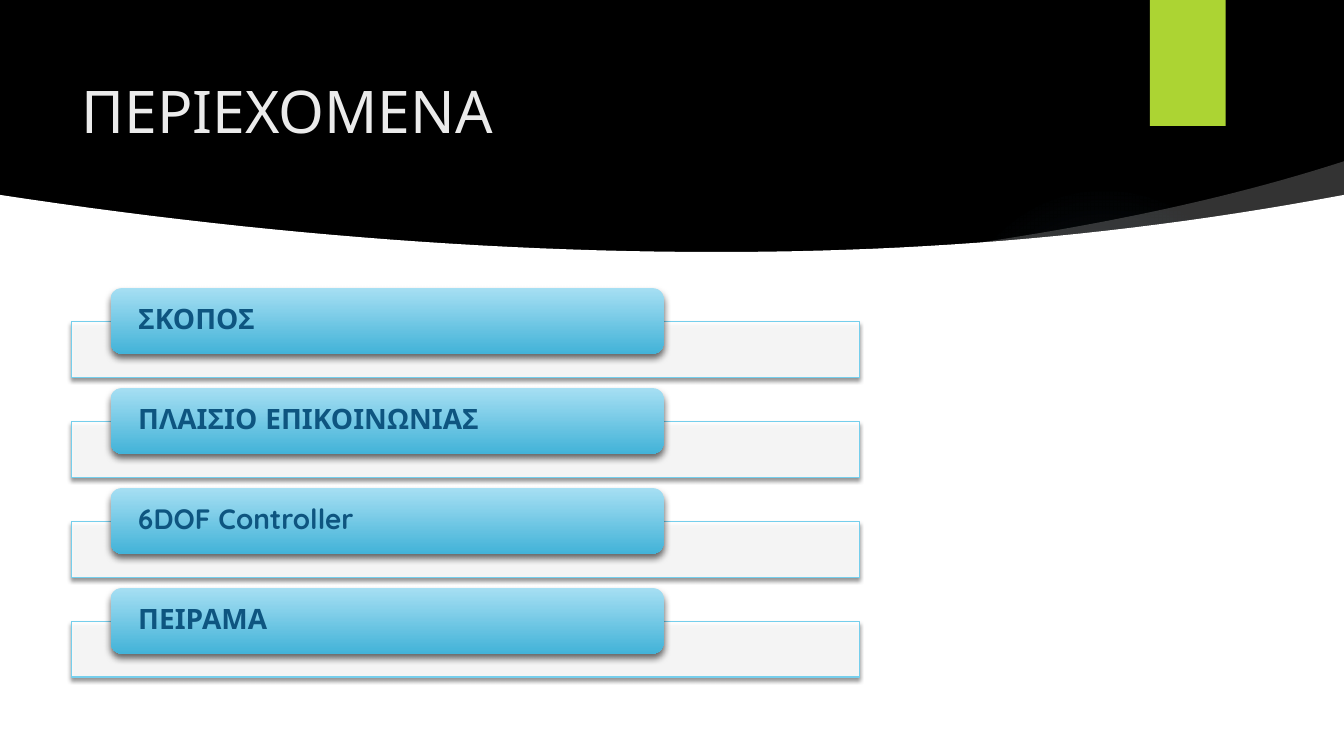
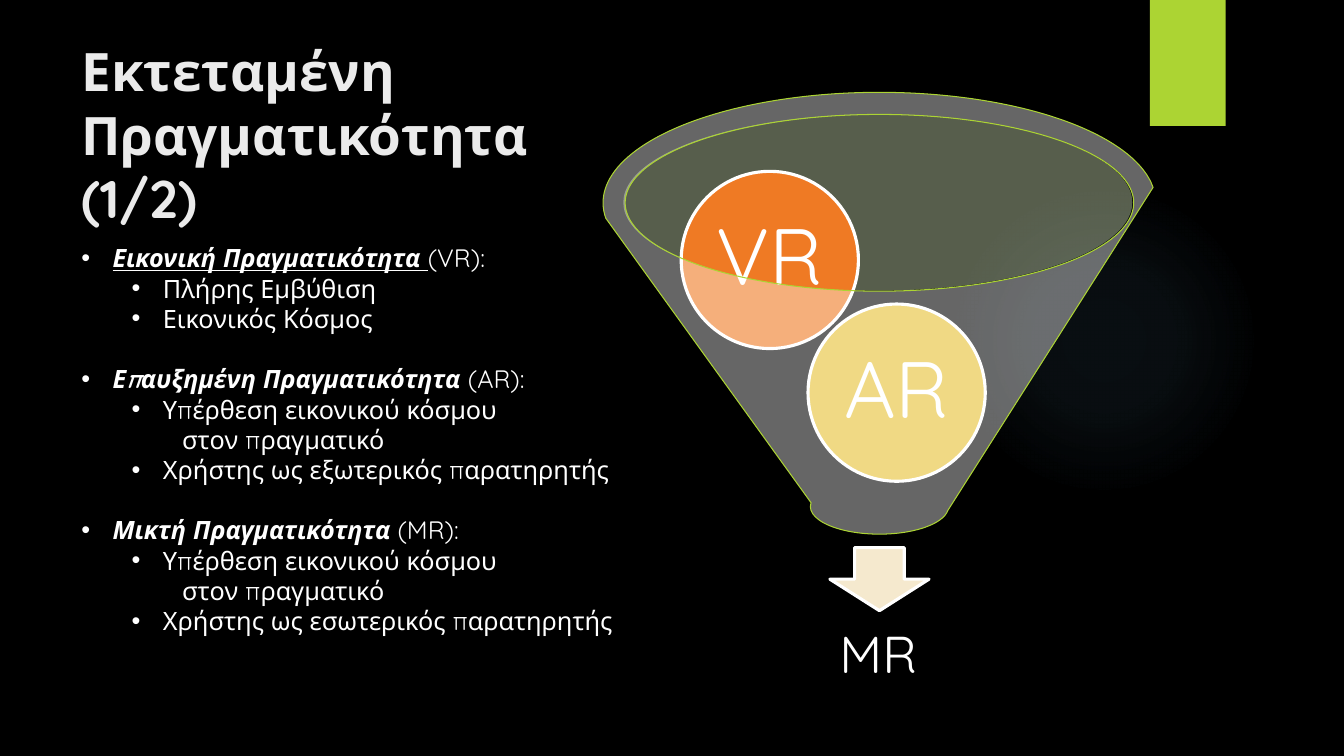
from dataclasses import dataclass
from typing import NamedTuple

from lxml import etree
from pptx import Presentation
from pptx.dml.color import RGBColor
from pptx.enum.shapes import MSO_SHAPE
from pptx.enum.text import MSO_ANCHOR, MSO_AUTO_SIZE, PP_ALIGN
from pptx.oxml import parse_xml
from pptx.oxml.ns import qn
from pptx.util import Emu, Inches, Pt

RECTANGLE = MSO_SHAPE.RECTANGLE
ROUNDED = MSO_SHAPE.ROUNDED_RECTANGLE
ELLIPSE = MSO_SHAPE.OVAL
DOWN_ARROW = MSO_SHAPE.DOWN_ARROW
FUNNEL = MSO_SHAPE.FUNNEL
TOP, MIDDLE = MSO_ANCHOR.TOP, MSO_ANCHOR.MIDDLE
LEFT, CENTER = PP_ALIGN.LEFT, PP_ALIGN.CENTER
FIXED_SIZE = MSO_AUTO_SIZE.NONE

COLUMNS, ROWS, CELL = 160, 90, 76200
TITLE_ONLY = 5
DRAWING_NS = "http://schemas.openxmlformats.org/drawingml/2006/main"


@dataclass(frozen=True)
class Theme:
    font: str = "Quicksand"
    black: str = "000000"
    white: str = "FFFFFF"
    title: str = "EBEBEB"
    accent: str = "ACD433"
    glow: str = "7AC4F0"
    card_top: str = "A6DFF3"
    card_bottom: str = "43B3D8"
    card_text: str = "0E5580"
    tray_line: str = "75CEEC"
    mouth: str = "DBEBBF"
    arrow: str = "F5E9CE"
    virtual: str = "EF7A24"
    augmented: str = "E6C133"
    title_size: float = 42
    long_title_size: float = 37.8
    card_size: float = 20
    body_size: float = 18
    ball_size: float = 57
    result_size: float = 37
    thin: float = 0.75
    thick: float = 2.25


THEME = Theme()


class Box(NamedTuple):
    column: float
    row: float
    columns: float
    rows: float


class Stop(NamedTuple):
    position: int
    color: str
    alpha: int = 100


class Shadow(NamedTuple):
    alpha: int
    blur: float
    distance: float


class Span(NamedTuple):
    text: str
    strong: bool = False
    underline: bool = False


class Line(NamedTuple):
    spans: tuple[Span, ...]
    level: int = 0
    indent: float = 0.31
    bullet: bool = True
    gap: bool = False


class Ball(NamedTuple):
    label: str
    color: str
    column: float
    row: float


Point = tuple[float, float]
SOFT_SHADOW = Shadow(45, 3, 2)
CARD_SHADOW = Shadow(60, 5, 3)
TOPICS = ("ΣΚΟΠΟΣ", "ΠΛΑΙΣΙΟ ΕΠΙΚΟΙΝΩΝΙΑΣ", "6DOF Controller", "ΠΕΙΡΑΜΑ")
BALLS = (
    Ball("AR", THEME.augmented, 96.2, 36.2),
    Ball("VR", THEME.virtual, 81.1, 20.4),
)


def heading(name: str, rest: str, underline: bool = False, gap: bool = True) -> Line:
    return Line((Span(name, True, underline), Span(rest)), gap=gap)


def detail(text: str) -> Line:
    return Line((Span(text),), 1, 0.81)


def continuation(text: str) -> Line:
    return Line((Span(text),), 1, 1, bullet=False)


OVERLAY = (detail("Υπέρθεση εικονικού κόσμου"), continuation("στον πραγματικό"))
REALITIES = (
    heading("Εικονική Πραγματικότητα ", "(VR):", underline=True, gap=False),
    detail("Πλήρης Εμβύθιση"),
    detail("Εικονικός Κόσμος"),
    heading("Επαυξημένη Πραγματικότητα ", "(AR):"),
    *OVERLAY,
    detail("Χρήστης ως εξωτερικός παρατηρητής"),
    heading("Μικτή Πραγματικότητα", " (MR):"),
    *OVERLAY,
    detail("Χρήστης ως εσωτερικός παρατηρητής"),
)


def grid(cells: float) -> Emu:
    return Emu(round(cells * CELL))


def place(box: Box) -> tuple[Emu, ...]:
    return tuple(grid(cells) for cells in box)


def paint(shape, color: str, alpha: int = 100, line: str = "", width: float = 0) -> None:
    shape.shadow.inherit = False
    shape.fill.solid()
    shape.fill.fore_color.rgb = RGBColor.from_string(color)
    if alpha < 100:
        tint = shape._element.spPr.find(qn("a:solidFill"))[0]
        etree.SubElement(tint, qn("a:alpha"), val=str(alpha * 1000))
    if line:
        shape.line.color.rgb = RGBColor.from_string(line)
        shape.line.width = Pt(width)
    else:
        shape.line.fill.background()


def add_shape(page, kind, box: Box, color: str, alpha: int = 100,
              line: str = "", width: float = 0):
    shape = page.shapes.add_shape(kind, *place(box))
    paint(shape, color, alpha, line, width)
    return shape


def add_gradient(shape, stops: tuple[Stop, ...], direction: str) -> None:
    stop_xml = "".join(
        f'<a:gs pos="{stop.position * 1000}"><a:srgbClr val="{stop.color}">'
        f'<a:alpha val="{stop.alpha * 1000}"/></a:srgbClr></a:gs>'
        for stop in stops
    )
    gradient = parse_xml(
        f'<a:gradFill xmlns:a="{DRAWING_NS}" rotWithShape="1">'
        f"<a:gsLst>{stop_xml}</a:gsLst>{direction}</a:gradFill>"
    )
    properties = shape._element.spPr
    properties.replace(properties.find(qn("a:solidFill")), gradient)


def add_shadow(shape, shadow: Shadow) -> None:
    effects = shape._element.spPr.find(qn("a:effectLst"))
    effects.append(parse_xml(
        f'<a:outerShdw xmlns:a="{DRAWING_NS}" blurRad="{Pt(shadow.blur)}" '
        f'dist="{Pt(shadow.distance)}" dir="5400000" rotWithShape="0">'
        f'<a:srgbClr val="{THEME.black}"><a:alpha val="{shadow.alpha * 1000}"/>'
        "</a:srgbClr></a:outerShdw>"
    ))


def add_span(para, text: str, size: float, color: str, bold: bool = False):
    span = para.add_run()
    span.text = text
    span.font.name = THEME.font
    span.font.size = Pt(size)
    span.font.bold = bold
    span.font.color.rgb = RGBColor.from_string(color)
    return span


def add_label(shape, text: str, size: float, color: str, align=CENTER,
              bold: bool = False, side: float = 0.08, wrap: bool = False) -> None:
    frame = shape.text_frame
    frame.word_wrap = wrap
    frame.vertical_anchor = MIDDLE
    frame.margin_left = frame.margin_right = Inches(side)
    frame.margin_top = frame.margin_bottom = 0
    para = frame.paragraphs[0]
    para.alignment = align
    para.line_spacing = 0.9
    add_span(para, text, size, color, bold)


def curve(start: Point, pull: Point, push: Point, end: Point, steps: int = 24) -> list[Point]:
    points = []
    for step in range(steps + 1):
        after = step / steps
        before = 1 - after
        weights = (before ** 3, 3 * before ** 2 * after, 3 * before * after ** 2, after ** 3)
        points.append(tuple(
            sum(weight * value for weight, value in zip(weights, axis))
            for axis in zip(start, pull, push, end)
        ))
    return points


def add_outline(page, points: list[Point], alpha: int = 100) -> None:
    corners = [(grid(column), grid(row)) for column, row in points]
    builder = page.shapes.build_freeform(*corners[0])
    builder.add_line_segments(corners[1:], close=True)
    paint(builder.convert_to_shape(), THEME.white, alpha)


def add_page(deck, title: str, box: Box, size: float, bold: bool = False):
    page = deck.slides.add_slide(deck.slide_layouts[TITLE_ONLY])
    page.background.fill.solid()
    page.background.fill.fore_color.rgb = RGBColor.from_string(THEME.black)
    holder = page.shapes.title
    holder.left, holder.top, holder.width, holder.height = place(box)
    frame = holder.text_frame
    frame.word_wrap = True
    frame.auto_size = FIXED_SIZE
    frame.vertical_anchor = TOP
    para = frame.paragraphs[0]
    para.alignment = LEFT
    add_span(para, title, size, THEME.title, bold)
    glow = add_shape(page, ELLIPSE, Box(112.9, 22, 37, 37), THEME.glow)
    stops = tuple(Stop(at, THEME.glow, alpha) for at, alpha in ((0, 7), (36, 6), (69, 0)))
    add_gradient(glow, stops, '<a:path path="circle"><a:fillToRect l="50000" t="50000" '
                 'r="50000" b="50000"/></a:path>')
    tab = add_shape(page, RECTANGLE, Box(136.9, 0, 9, 15), THEME.accent)
    add_shadow(tab, SOFT_SHADOW)
    return page


def add_topic(page, index: int, topic: str) -> None:
    top = 34.3 + 11.9 * index
    tray = add_shape(page, RECTANGLE, Box(8.5, top + 4, 93.8, 6.6), THEME.white, 90,
                     THEME.tray_line, THEME.thin)
    add_shadow(tray, SOFT_SHADOW)
    card = add_shape(page, ROUNDED, Box(13.2, top, 65.8, 7.8), THEME.card_top)
    add_gradient(card, (Stop(0, THEME.card_top), Stop(100, THEME.card_bottom)),
                 '<a:lin ang="5400000" scaled="0"/>')
    add_shadow(card, CARD_SHADOW)
    add_label(card, topic, THEME.card_size, THEME.card_text, LEFT, True, 0.24, True)


def add_contents(deck) -> None:
    page = add_page(deck, "ΠΕΡΙΕΧΟΜΕΝΑ", Box(8.5, 8.3, 121.4, 13.3), THEME.title_size)
    add_outline(page, curve((114.5, 29.2), (129.6, 27), (145.2, 24), (COLUMNS, 19.2))
                + curve((COLUMNS, 25.4), (147, 27.6), (122.4, 30.2), (115, 30)), 20)
    add_outline(page, curve((0, 23.2), (28.8, 27.6), (57.6, 30), (85.2, 30))
                + curve((85.2, 30), (110.4, 30), (134.4, 28), (COLUMNS, 23.2))
                + [(COLUMNS, ROWS), (0, ROWS)])
    for index, topic in enumerate(TOPICS):
        add_topic(page, index, topic)


def add_line(para, line: Line) -> None:
    para.level = line.level
    if line.gap:
        para.space_before = Pt(THEME.body_size * 1.2)
    properties = para._p.get_or_add_pPr()
    properties.set("marL", str(Inches(line.indent)))
    properties.set("indent", str(Inches(-0.31 if line.bullet else 0)))
    if line.bullet:
        etree.SubElement(properties, qn("a:buFont"), typeface="Arial")
        etree.SubElement(properties, qn("a:buChar"), char="•")
    for part in line.spans:
        span = add_span(para, part.text, THEME.body_size, THEME.white, part.strong)
        span.font.italic = part.strong
        span.font.underline = part.underline


def add_extended_reality(deck) -> None:
    page = add_page(deck, "Εκτεταμένη Πραγματικότητα (1/2)", Box(8.5, 4, 62.9, 22),
                    THEME.long_title_size, True)
    add_shape(page, ELLIPSE, Box(74.2, 13.6, 60.6, 21), THEME.mouth, 40)
    add_shape(page, DOWN_ARROW, Box(98.8, 65.2, 11.8, 7.5), THEME.arrow, 100,
              THEME.white, THEME.thick)
    result = page.shapes.add_textbox(*place(Box(76.4, 71.2, 56.3, 14)))
    add_label(result, "MR", THEME.result_size, THEME.white, wrap=True)
    for ball in BALLS:
        shape = add_shape(page, ELLIPSE, Box(ball.column, ball.row, 21.1, 21.1),
                          ball.color, 100, THEME.white, THEME.thick)
        add_label(shape, ball.label, THEME.ball_size, THEME.white)
    add_shape(page, FUNNEL, Box(71.8, 11, 65.8, 52.6), THEME.white, 40,
              THEME.accent, THEME.thin)
    frame = page.shapes.add_textbox(*place(Box(8.5, 28.3, 69.1, 48.5))).text_frame
    frame.word_wrap = True
    for index, line in enumerate(REALITIES):
        add_line(frame.add_paragraph() if index else frame.paragraphs[0], line)


def main() -> None:
    deck = Presentation()
    deck.slide_width, deck.slide_height = grid(COLUMNS), grid(ROWS)
    add_contents(deck)
    add_extended_reality(deck)
    deck.save("out.pptx")


if __name__ == "__main__":
    main()
